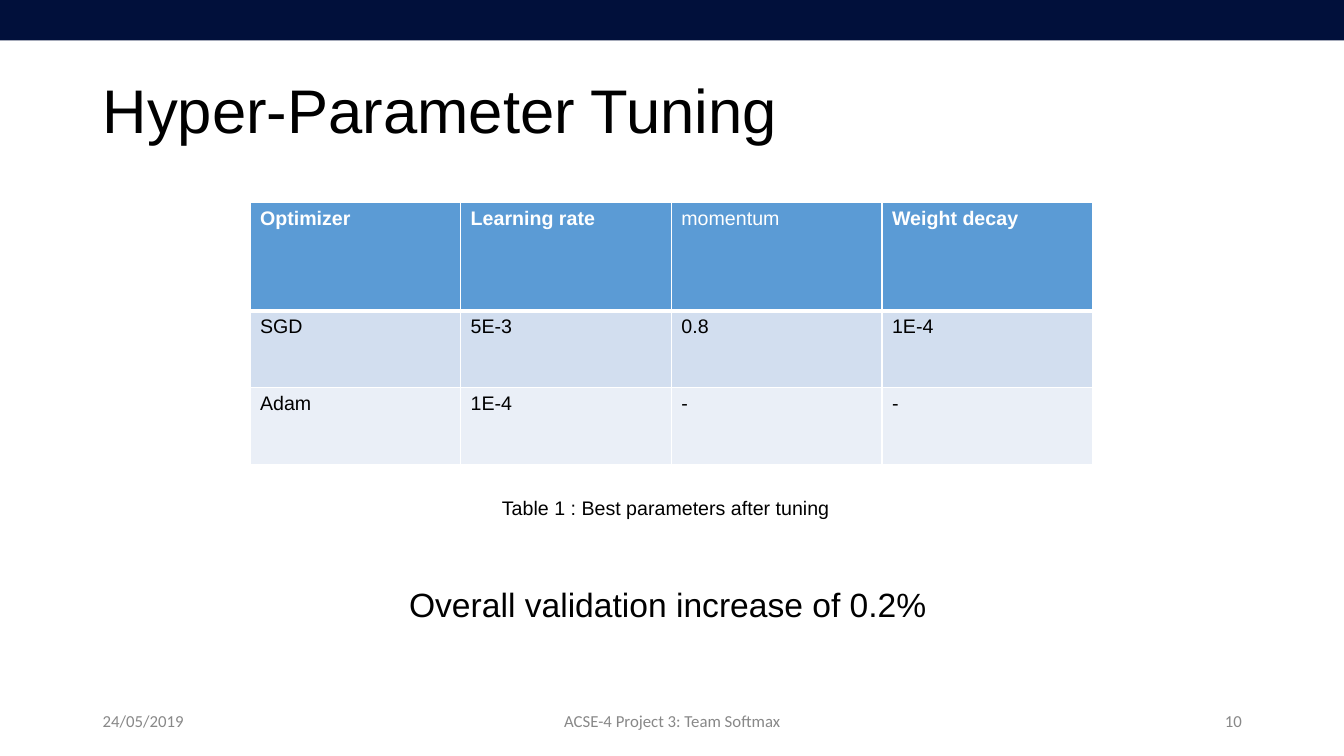
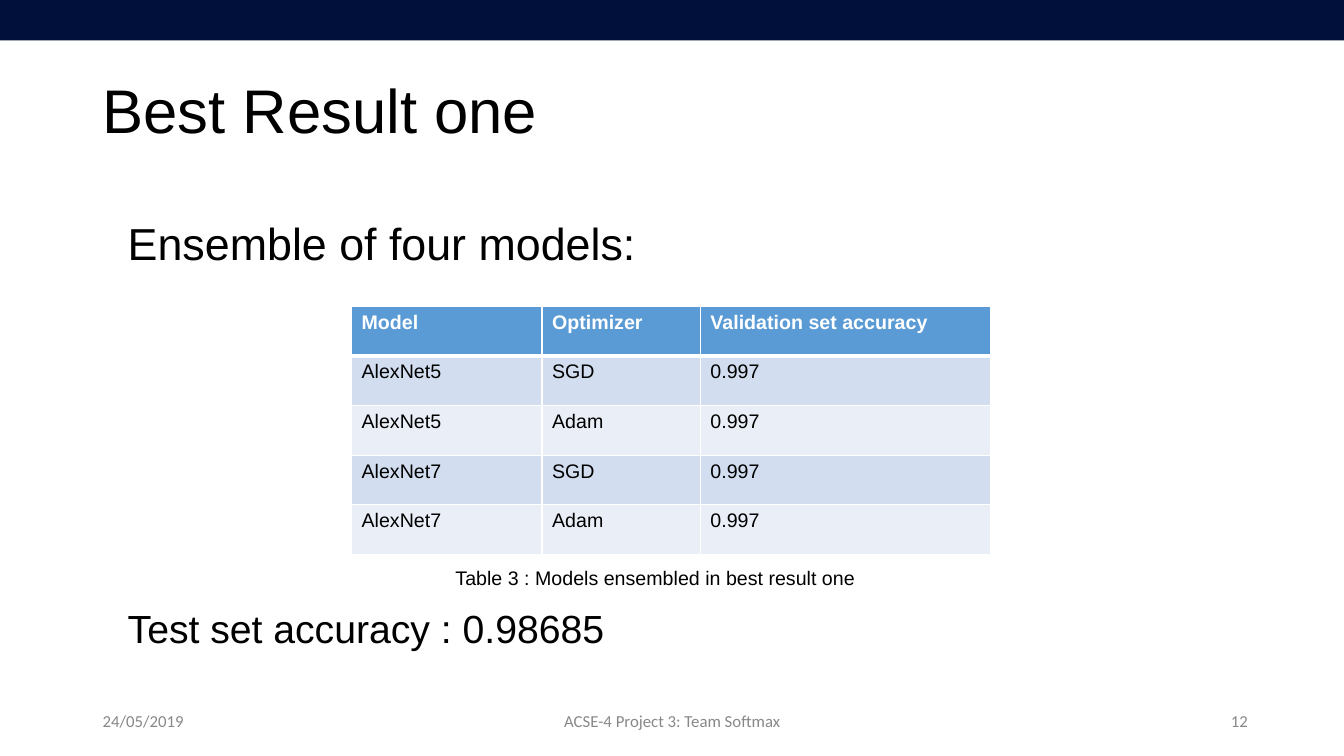
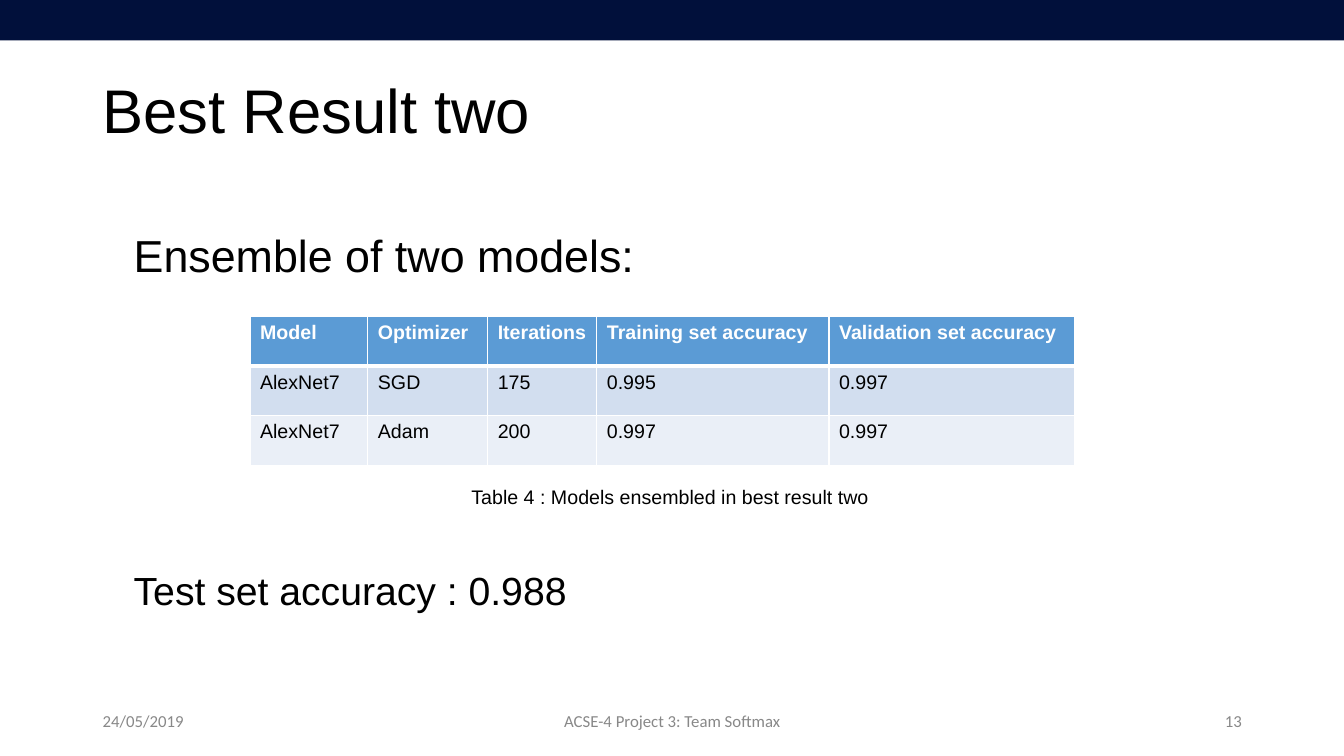
from dataclasses import dataclass

from lxml import etree
from pptx import Presentation
from pptx import util as u
from pptx.dml import color
from pptx.enum import shapes, text
from pptx.oxml import ns

NAVY, BLUE, PALE, MIST = "01103B", "5B9BD5", "D2DEEF", "EAEFF7"
WHITE, BLACK, GRAY = "FFFFFF", "000000", "888888"
SANS, FOOT = "Arial", "Calibri"
WIDE, HIGH = 33.87, 19.05
LEFT, MID, RIGHT = text.PP_ALIGN.LEFT, text.PP_ALIGN.CENTER, text.PP_ALIGN.RIGHT


@dataclass
class Label:
    words: str
    left: float
    top: float
    width: float
    height: float
    size: float = 14
    font: str = SANS
    tint: str = BLACK
    align: text.PP_ALIGN = LEFT
    center: bool = False
    snug: bool = False
    pad: float = 0.13
    space: float = 1.0


@dataclass
class Grid:
    left: float
    top: float
    cols: list[float]
    rows: list[float]
    cells: list[list[str]]
    plain: tuple[str, ...] = ()


@dataclass
class Page:
    title: str
    number: str
    grid: Grid
    labels: list[Label]
    edge: float = 23.93


def tone(code: str) -> color.RGBColor:
    return color.RGBColor.from_string(code)


def style(para, size: float, font: str, tint: str, bold: bool = False) -> None:
    for run in para.runs:
        run.font.size = u.Pt(size)
        run.font.name = font
        run.font.bold = bold
        run.font.color.rgb = tone(tint)


def draw_label(slide, label: Label) -> None:
    box = slide.shapes.add_textbox(
        u.Cm(label.left), u.Cm(label.top), u.Cm(label.width), u.Cm(label.height))
    frame = box.text_frame
    frame.text = label.words
    frame.word_wrap = not label.snug
    if label.snug:
        frame.auto_size = text.MSO_AUTO_SIZE.SHAPE_TO_FIT_TEXT
    if label.center:
        frame.vertical_anchor = text.MSO_ANCHOR.MIDDLE
    frame.margin_left = frame.margin_right = u.Cm(0.25)
    frame.margin_top = frame.margin_bottom = u.Cm(label.pad)
    para = frame.paragraphs[0]
    para.alignment = label.align
    para.line_spacing = label.space
    style(para, label.size, label.font, label.tint)


def draw_edge(cell, side: str, points: float) -> None:
    props = cell._tc.get_or_add_tcPr()
    line = etree.SubElement(props, ns.qn(f"a:ln{side}"), w=str(u.Pt(points)))
    fill = etree.SubElement(line, ns.qn("a:solidFill"))
    etree.SubElement(fill, ns.qn("a:srgbClr"), val=WHITE)


def draw_grid(slide, grid: Grid) -> None:
    table = slide.shapes.add_table(
        len(grid.rows), len(grid.cols), u.Cm(grid.left), u.Cm(grid.top),
        u.Cm(sum(grid.cols)), u.Cm(sum(grid.rows))).table
    for col, width in zip(table.columns, grid.cols):
        col.width = u.Cm(width)
    for row, height in zip(table.rows, grid.rows):
        row.height = u.Cm(height)
    for r, line in enumerate(grid.cells):
        head = r == 0
        back = BLUE if head else (MIST, PALE)[r % 2]
        for c, words in enumerate(line):
            cell = table.cell(r, c)
            cell.text = words
            style(cell.text_frame.paragraphs[0], 14, SANS,
                  WHITE if head else BLACK, head and words not in grid.plain)
            draw_edge(cell, "L", 1)
            draw_edge(cell, "R", 1)
            draw_edge(cell, "T", 3 if r == 1 else 1)
            draw_edge(cell, "B", 3 if head else 1)
            cell.fill.solid()
            cell.fill.fore_color.rgb = tone(back)


def draw_frame(slide, page: Page) -> None:
    draw_label(slide, Label(page.title, 2.34, 1.02, 29.21, 3.68, 44,
                            center=True, space=0.9))
    band = slide.shapes.add_shape(
        shapes.MSO_SHAPE.RECTANGLE, 0, 0, u.Cm(WIDE), u.Cm(1.02))
    band.shadow.inherit = False
    band.fill.solid()
    band.fill.fore_color.rgb = tone(NAVY)
    band.line.fill.background()
    for words, left, width, align in (
            ("24/05/2019", 2.34, 7.62, LEFT),
            ("ACSE-4 Project 3: Team Softmax", 11.23, 11.43, MID),
            (page.number, page.edge, 7.62, RIGHT)):
        draw_label(slide, Label(words, left, 17.65, width, 1.02, 12,
                                FOOT, GRAY, align, center=True))


PAGES = [
    Page("Hyper-Parameter Tuning", "10",
         Grid(6.3, 5.11, [5.31] * 4, [2.72, 1.94, 1.94],
              [["Optimizer", "Learning rate", "momentum", "Weight decay"],
               ["SGD", "5E-3", "0.8", "1E-4"],
               ["Adam", "1E-4", "-", "-"]], plain=("momentum",)),
         [Label("Overall validation increase of 0.2%",
                10.06, 14.58, 13.74, 1.88, 24),
          Label("Table 1 : Best parameters after tuning",
                12.4, 12.37, 8.86, 0.86, snug=True)]),
    Page("Best Result one", "12",
         Grid(8.86, 7.72, [4.8, 3.99, 7.32], [1.25] * 5,
              [["Model", "Optimizer", "Validation set accuracy"],
               ["AlexNet5", "SGD", "0.997"],
               ["AlexNet5", "Adam", "0.997"],
               ["AlexNet7", "SGD", "0.997"],
               ["AlexNet7", "Adam", "0.997"]]),
         [Label("Ensemble of four models:",
                2.97, 5.18, 13.97, 3.05, 32, pad=0.25),
          Label("Test set accuracy : 0.98685",
                2.97, 15.11, 12.78, 1.45, 28, snug=True),
          Label("Table 3 : Models ensembled in best result one",
                11.23, 14.12, 10.67, 0.86, snug=True)],
         edge=24.08),
    Page("Best Result two", "13",
         Grid(6.3, 7.98, [2.97, 3.02, 2.75, 5.85, 6.2], [1.25] * 3,
              [["Model", "Optimizer", "Iterations",
                "Training set accuracy", "Validation set accuracy"],
               ["AlexNet7", "SGD", "175", "0.995", "0.997"],
               ["AlexNet7", "Adam", "200", "0.997", "0.997"]]),
         [Label("Ensemble of two models:",
                3.12, 5.49, 16.21, 2.57, 32, pad=0.25),
          Label("Test set accuracy : 0.988",
                3.12, 14.15, 11.66, 1.45, 28, snug=True),
          Label("Table 4 : Models ensembled in best result two",
                11.63, 12.09, 10.62, 0.86, snug=True)]),
]

deck = Presentation()
deck.slide_width, deck.slide_height = u.Cm(WIDE), u.Cm(HIGH)
for page in PAGES:
    slide = deck.slides.add_slide(deck.slide_layouts[6])
    draw_frame(slide, page)
    draw_grid(slide, page.grid)
    for label in page.labels:
        draw_label(slide, label)
deck.save("out.pptx")
